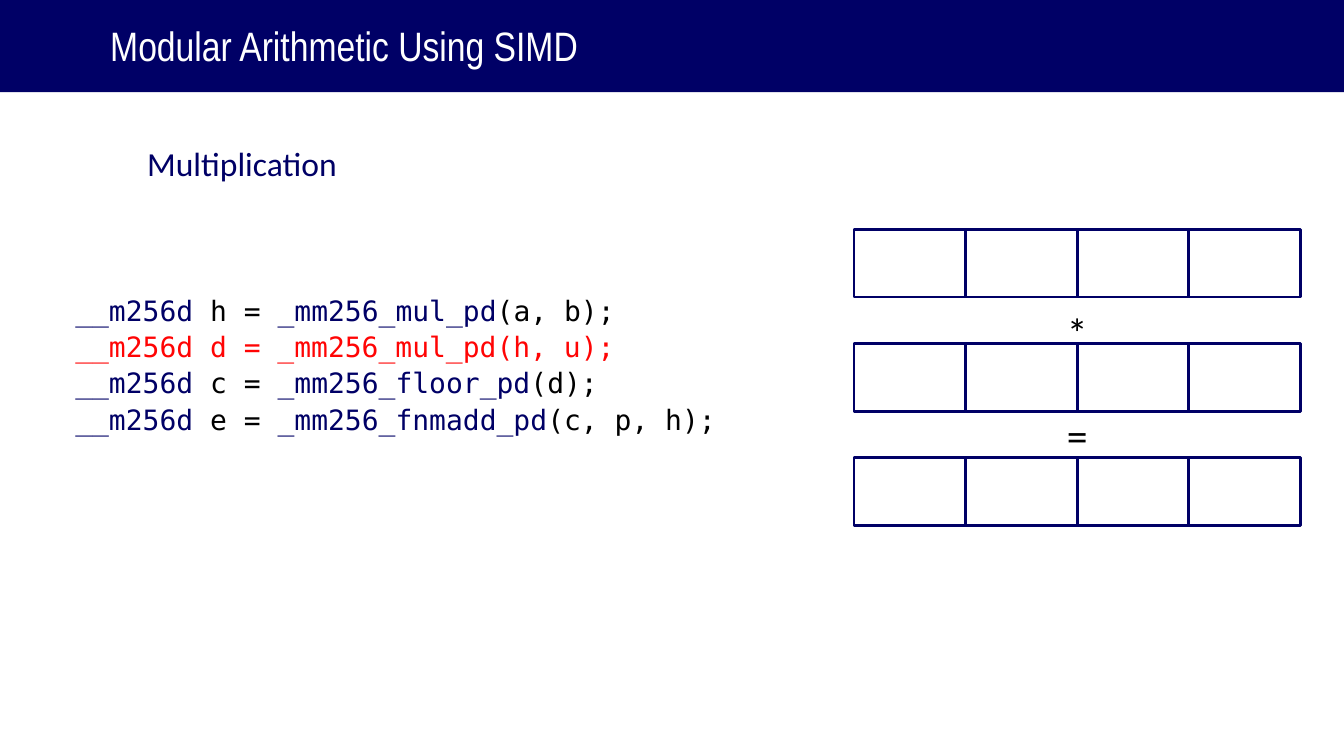
from pptx import Presentation
from pptx.dml.color import RGBColor
from pptx.enum import shapes, text
from pptx.util import Inches, Pt

NAVY = RGBColor(0x00, 0x00, 0x66)
RED = RGBColor(0xFF, 0x04, 0x04)
BLACK = RGBColor(0x00, 0x00, 0x00)
WHITE = RGBColor(0xFF, 0xFF, 0xFF)

# Font formats
TITLE = {"name": "Arial Narrow", "size": Pt(44), "bold": False}
HEADING = {"name": "Calibri", "size": Pt(36)}
CODE = {"name": "DejaVu Sans Mono", "size": Pt(30)}
OPERATOR = {"name": "Calibri", "size": Pt(44.7)}

# Each code line is a list of (text, colour) runs
CODE_LINES = [
    [("__m256d ", NAVY), ("h = ", BLACK), ("_mm256_mul_pd", NAVY), ("(a, b);", BLACK)],
    [("__m256d d = _mm256_mul_pd(h, u);", RED)],
    [("__m256d", NAVY), (" c = ", BLACK), ("_mm256_floor_pd", NAVY), ("(d);", BLACK)],
    [("__m256d ", NAVY), ("e = ", BLACK), ("_mm256_fnmadd_pd", NAVY),
     ("(c, p, h);", BLACK)],
]

# Vector diagram grid, in inches
VECTOR_COUNT, LANE_COUNT = 3, 4
VECTOR_LEFT, VECTOR_TOP = 12.71, 3.41
LANE_WIDTH, LANE_HEIGHT, VECTOR_STEP = 1.66, 1.01, 1.7


def set_format(target, values):
    for name, value in values.items():
        setattr(target, name, value)


def write_text(shape, lines, font, spacing, alignment=text.PP_ALIGN.LEFT):
    """Fill a shape with lines of coloured runs."""
    frame = shape.text_frame
    set_format(frame, {
        "margin_left": 0, "margin_top": 0, "margin_right": 0, "margin_bottom": 0,
        "word_wrap": True, "auto_size": text.MSO_AUTO_SIZE.NONE,
        "vertical_anchor": text.MSO_ANCHOR.TOP,
    })
    for index, runs in enumerate(lines):
        paragraph = frame.add_paragraph() if index else frame.paragraphs[0]
        set_format(paragraph, {"alignment": alignment, "line_spacing": Pt(spacing),
                               "space_before": Pt(0)})
        for content, colour in runs:
            run = paragraph.add_run()
            run.text = content
            set_format(run.font, font)
            run.font.color.rgb = colour


def add_text(slide, box, lines, font, spacing, alignment=text.PP_ALIGN.LEFT):
    shape = slide.shapes.add_textbox(*map(Inches, box))
    write_text(shape, lines, font, spacing, alignment)


def add_rectangle(slide, box, fill=None, line=None):
    shape = slide.shapes.add_shape(shapes.MSO_SHAPE.RECTANGLE, *map(Inches, box))
    shape.shadow.inherit = False
    if fill is None:
        shape.fill.background()
    else:
        shape.fill.solid()
        shape.fill.fore_color.rgb = fill
    if line is None:
        shape.line.fill.background()
    else:
        shape.line.color.rgb = line
        shape.line.width = Pt(3)
    return shape


def add_title(slide, content):
    title = slide.shapes.title
    set_format(title, {"left": Inches(1.64), "top": Inches(0.37),
                       "width": Inches(10.12), "height": Inches(0.68)})
    write_text(title, [[(content, WHITE)]], TITLE, 47.5)
    # The band goes behind the title
    band = add_rectangle(slide, (0, 0, 20, 1.37), fill=NAVY)
    title.element.addprevious(band.element)


def add_vectors(slide):
    for row in range(VECTOR_COUNT):
        for lane in range(LANE_COUNT):
            box = (VECTOR_LEFT + lane * LANE_WIDTH, VECTOR_TOP + row * VECTOR_STEP,
                   LANE_WIDTH, LANE_HEIGHT)
            add_rectangle(slide, box, line=NAVY)
    # Operators between the vectors
    for symbol, top in (("*", 4.5), ("=", 6.04)):
        add_text(slide, (15.78, top, 0.5, 0.78), [[(symbol, BLACK)]], OPERATOR, 58.1,
                 text.PP_ALIGN.CENTER)


def main():
    presentation = Presentation()
    presentation.slide_width = Inches(20)
    presentation.slide_height = Inches(11.25)
    slide = presentation.slides.add_slide(presentation.slide_layouts[5])

    add_title(slide, "Modular Arithmetic Using SIMD")
    add_text(slide, (2.19, 2.12, 4.1, 0.59), [[("Multiplication", NAVY)]], HEADING, 43.2)
    add_text(slide, (1.12, 4.32, 11.45, 2.17), CODE_LINES, CODE, 39)
    add_vectors(slide)

    presentation.save("out.pptx")


if __name__ == "__main__":
    main()
